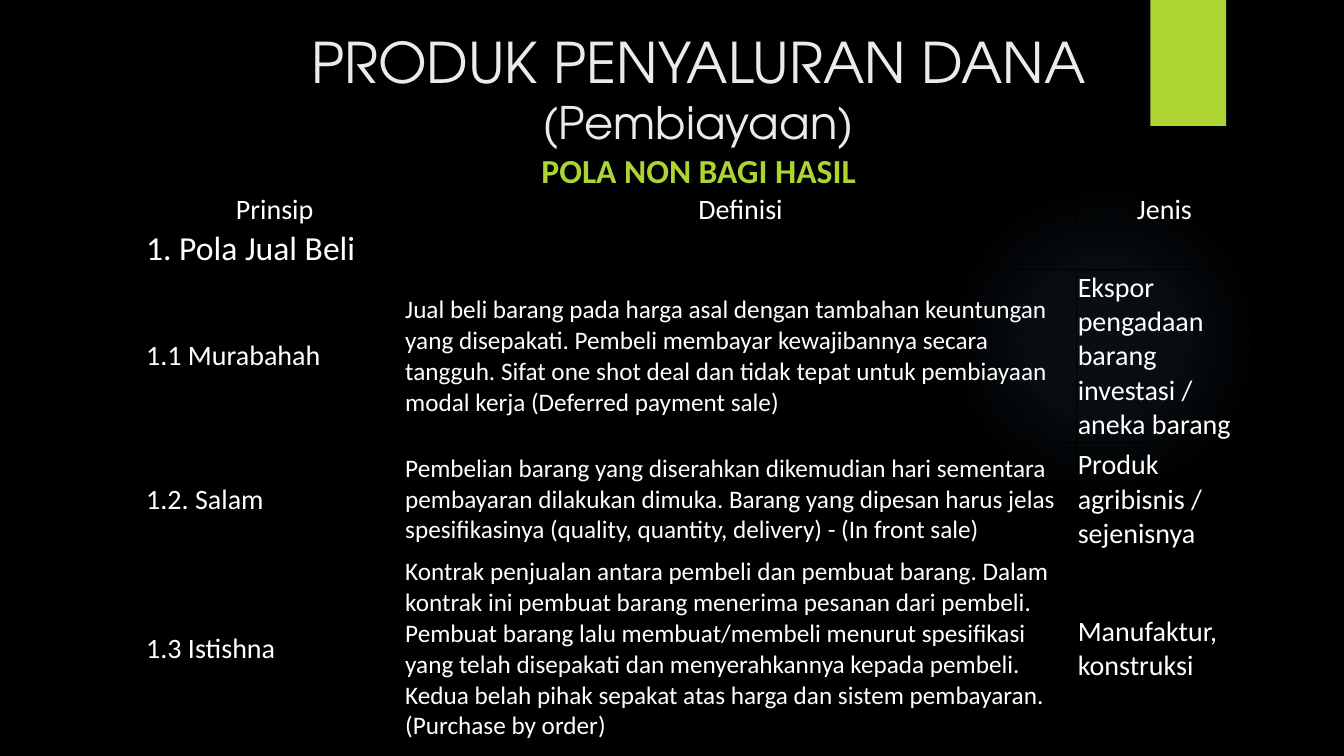
from dataclasses import dataclass

from lxml.etree import SubElement
from pptx import Presentation
from pptx.dml.color import RGBColor
from pptx.enum.shapes import MSO_SHAPE
from pptx.enum.text import MSO_ANCHOR, PP_ALIGN
from pptx.oxml import parse_xml
from pptx.oxml.ns import nsdecls, qn
from pptx.util import Inches, Pt


@dataclass(frozen=True)
class Theme:
    """Colours, fonts and type sizes of the slide."""
    ground: str = "000000"
    accent: str = "ACD433"
    glow: str = "7AC4F0"
    title: str = "EBEBEB"
    body: str = "FFFFFF"
    title_font: str = "TeX Gyre Adventor"
    body_font: str = "Calibri"
    title_size: int = 40
    subtitle_size: int = 32
    section_size: int = 24
    label_size: int = 20
    definition_size: int = 18


def apply(target, formats):
    """Set every attribute named in the formats on the target."""
    for name, value in formats.items():
        setattr(target, name, value)


class SlideBuilder:
    """Draws elements on one slide, with lengths in percent of its size."""

    def __init__(self, deck, theme):
        """Add a blank slide with the theme's background."""
        self.deck, self.theme = deck, theme
        self.slide = deck.slides.add_slide(deck.slide_layouts[6])
        backdrop = self.slide.background.fill
        backdrop.solid()
        backdrop.fore_color.rgb = RGBColor.from_string(theme.ground)

    def across(self, share):
        """Turn a share of the width into a length."""
        return round(self.deck.slide_width * share / 100)

    def down(self, share):
        """Turn a share of the height into a length."""
        return round(self.deck.slide_height * share / 100)

    def place(self, left, top, width, height):
        """Turn four shares into a position and a size."""
        return self.across(left), self.down(top), self.across(width), self.down(height)

    def style(self, font, size, color, name, bold=False):
        """Format a font."""
        apply(font, {"size": Pt(size), "name": name, "bold": bold})
        font.color.rgb = RGBColor.from_string(color)

    def block(self, area, kind, color):
        """Draw a filled shape without outline."""
        block = self.slide.shapes.add_shape(kind, *self.place(*area))
        block.shadow.inherit = False
        block.line.fill.background()
        block.fill.solid()
        block.fill.fore_color.rgb = RGBColor.from_string(color)
        return block

    def glow(self, area, stops):
        """Draw a circle that fades out from its centre."""
        halo = self.block(area, MSO_SHAPE.OVAL, self.theme.glow)
        fades = "".join(
            f'<a:gs pos="{spot * 1000}"><a:srgbClr val="{self.theme.glow}">'
            f'<a:alpha val="{opacity * 1000}"/></a:srgbClr></a:gs>'
            for spot, opacity in stops)
        gradient = parse_xml(
            f'<a:gradFill {nsdecls("a")}><a:gsLst>{fades}</a:gsLst><a:path path="circle">'
            '<a:fillToRect l="50000" t="50000" r="50000" b="50000"/></a:path></a:gradFill>')
        properties = halo.element.spPr
        properties.replace(properties.find(qn("a:solidFill")), gradient)

    def heading(self, area, lines):
        """Write centred title lines of different sizes."""
        frame = self.slide.shapes.add_textbox(*self.place(*area)).text_frame
        frame.word_wrap = True
        paragraph = frame.paragraphs[0]
        paragraph.alignment = PP_ALIGN.CENTER
        for position, (words, size) in enumerate(lines):
            if position:
                paragraph.add_line_break()
            run = paragraph.add_run()
            run.text = words
            self.style(run.font, size, self.theme.title, self.theme.title_font)

    def borders(self, cell, hidden):
        """Give a cell thin borders, except on the hidden sides."""
        properties = cell._tc.get_or_add_tcPr()
        for side in "LRTB":
            edge = SubElement(properties, qn(f"a:ln{side}"), w=str(Pt(0.5)))
            if side in hidden:
                SubElement(edge, qn("a:noFill"))
            else:
                paint = SubElement(edge, qn("a:solidFill"))
                SubElement(paint, qn("a:srgbClr"), val=self.theme.ground)

    def cell(self, cell, words, size, color, centred, anchor, bold=False, hidden=""):
        """Fill in and format one table cell."""
        inset = Inches(0.01)
        apply(cell, {"text": words, "vertical_anchor": anchor, "margin_left": inset,
                     "margin_right": inset, "margin_top": inset, "margin_bottom": 0})
        self.borders(cell, hidden)
        cell.fill.background()
        paragraph = cell.text_frame.paragraphs[0]
        paragraph.alignment = PP_ALIGN.CENTER if centred else PP_ALIGN.LEFT
        self.style(paragraph.font, size, color, self.theme.body_font, bold)

    def table(self, left, top, columns, rows, caption, headers, section, products):
        """Draw the table of financing products."""
        theme = self.theme
        area = self.place(left, top, sum(columns), sum(rows))
        table = self.slide.shapes.add_table(len(rows), len(columns), *area).table
        apply(table, {"first_row": False, "horz_banding": False})
        for column, share in zip(table.columns, columns):
            column.width = self.across(share)
        for row, share in zip(table.rows, rows):
            row.height = self.down(share)
        table.cell(0, 0).merge(table.cell(0, len(columns) - 1))
        low, middle = MSO_ANCHOR.BOTTOM, MSO_ANCHOR.MIDDLE
        self.cell(table.cell(0, 0), caption, theme.section_size, theme.accent, True, low, True)
        for index, header in enumerate(headers):
            self.cell(table.cell(1, index), header, theme.label_size, theme.body, True, low)
        for index, (words, hidden) in enumerate(zip((section, "", ""), ("R", "LR", "L"))):
            self.cell(table.cell(2, index), words, theme.section_size, theme.body,
                      False, low, hidden=hidden)
        sizes = theme.label_size, theme.definition_size, theme.label_size
        for line, product in enumerate(products, 3):
            for index, (words, size) in enumerate(zip(product, sizes)):
                self.cell(table.cell(line, index), words, size, theme.body, False, middle)


PRODUCTS = [
    ("1.1 Murabahah",
     "Jual beli barang pada harga asal dengan tambahan keuntungan yang disepakati. "
     "Pembeli membayar kewajibannya secara tangguh. Sifat one shot deal dan tidak tepat "
     "untuk pembiayaan modal kerja (Deferred payment sale)",
     "Ekspor pengadaan barang investasi / aneka barang"),
    ("1.2. Salam",
     "Pembelian barang yang diserahkan dikemudian hari sementara pembayaran dilakukan "
     "dimuka. Barang yang dipesan harus jelas spesifikasinya (quality, quantity, "
     "delivery) - (In front sale)",
     "Produk agribisnis / sejenisnya"),
    ("1.3 Istishna",
     "Kontrak penjualan antara pembeli dan pembuat barang. Dalam kontrak ini pembuat "
     "barang menerima pesanan dari pembeli. Pembuat barang lalu membuat/membeli menurut "
     "spesifikasi yang telah disepakati dan menyerahkannya kepada pembeli. Kedua belah "
     "pihak sepakat atas harga dan sistem pembayaran. (Purchase by order)",
     "Manufaktur, konstruksi"),
]


def main():
    """Build the slide and save it."""
    deck = Presentation()
    apply(deck, {"slide_width": Inches(13.33), "slide_height": Inches(7.5)})
    theme = Theme()
    page = SlideBuilder(deck, theme)
    page.glow((70.6, 24.4, 23.1, 41.07), [(0, 7), (36, 6), (69, 0)])
    page.block((85.6, 0, 5.63, 16.67), MSO_SHAPE.RECTANGLE, theme.accent)
    page.table(10.8, 19.87, (19.28, 50.04, 13.05), (2.13, 3.73, 5.07, 18.13, 15.07, 22.8),
               "POLA NON BAGI HASIL", ("Prinsip", "Definisi", "Jenis"),
               "1. Pola Jual Beli", PRODUCTS)
    page.heading((13.35, 2.93, 77.2, 11.73),
                 [("PRODUK PENYALURAN DANA", theme.title_size),
                  ("(Pembiayaan)", theme.subtitle_size)])
    deck.save("out.pptx")


if __name__ == "__main__":
    main()
